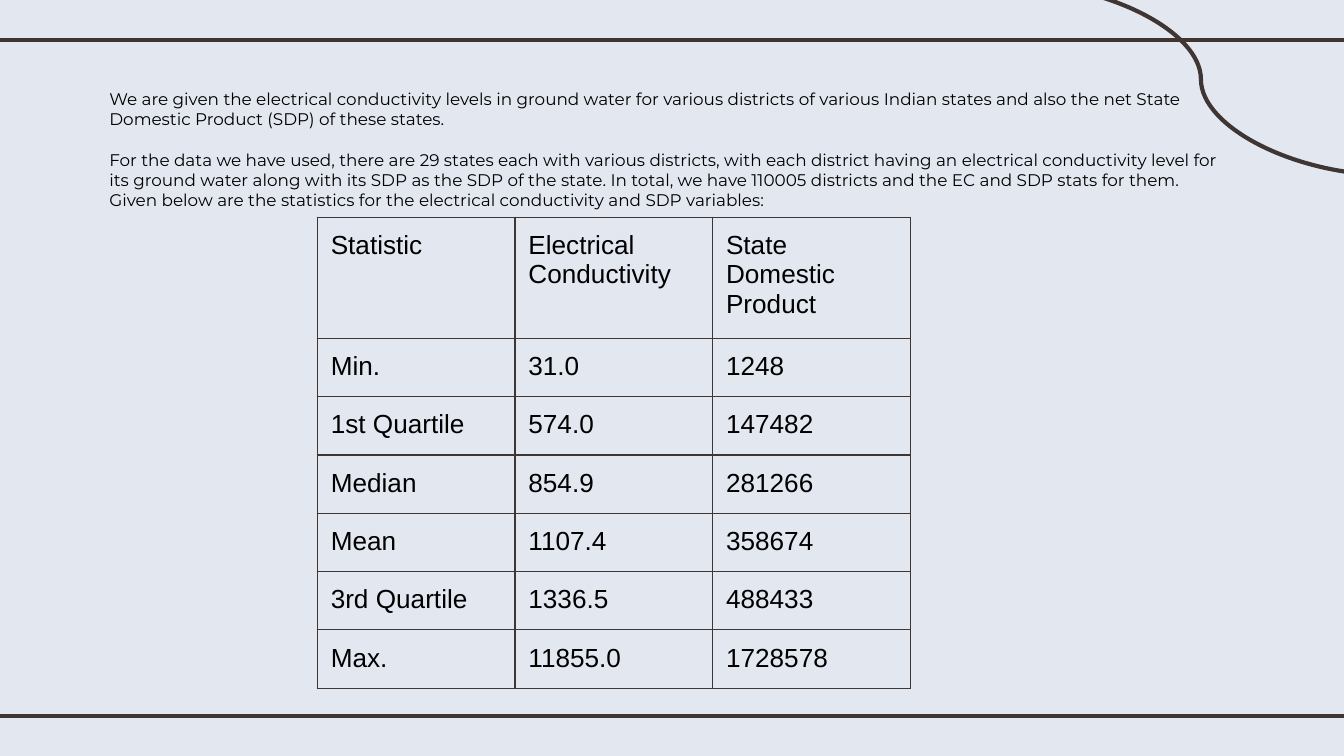
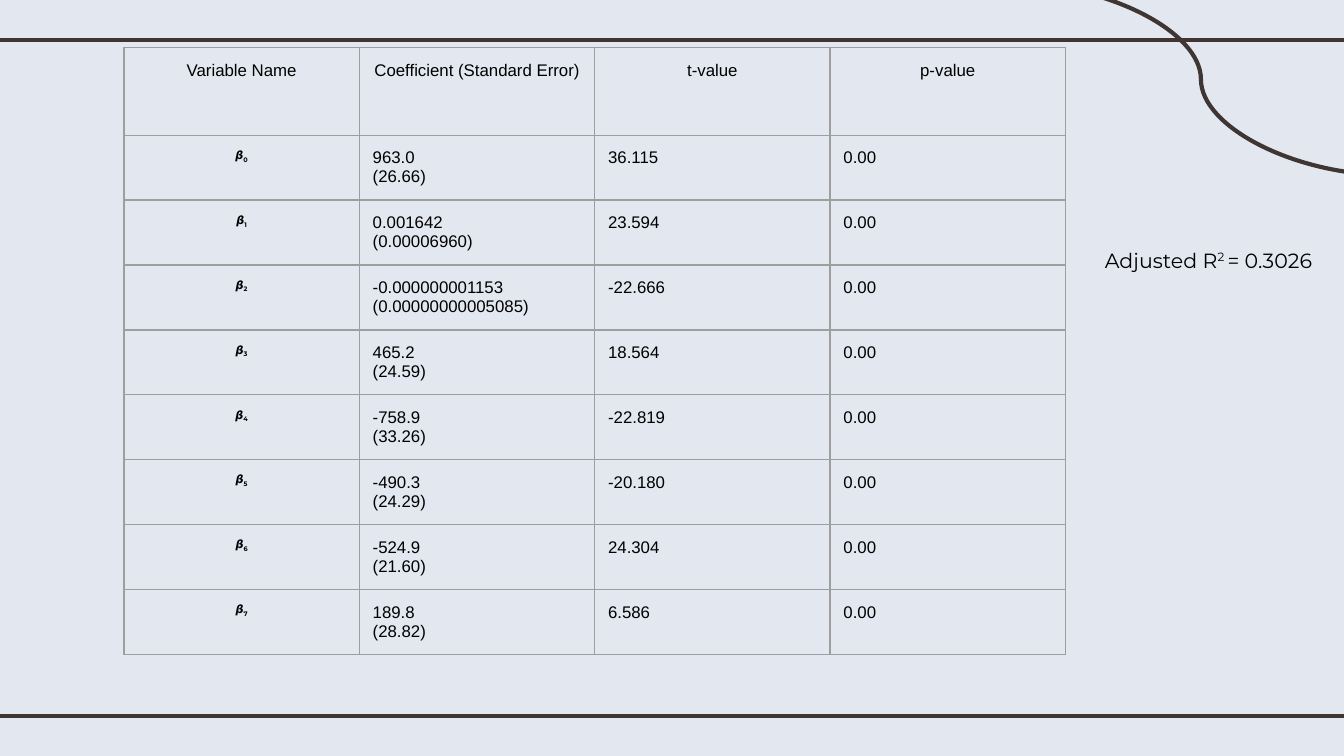
"""Builds two slides of ground water statistics and regression results."""
from lxml import etree
from pptx import Presentation
from pptx.dml.color import RGBColor
from pptx.enum.shapes import MSO_CONNECTOR
from pptx.enum.text import PP_ALIGN
from pptx.oxml.ns import qn
from pptx.util import Pt

STRAIGHT, CURVE = MSO_CONNECTOR.STRAIGHT, MSO_CONNECTOR.CURVE
LEFT, CENTER = PP_ALIGN.LEFT, PP_ALIGN.CENTER
BLANK_LAYOUT = 6
COLORS = {"background": "E3E7F0", "line": "3F3533", "grid": "9E9E9E", "text": "000000"}
BODY_FONT, TABLE_FONT = "Montserrat", "Arial"
INSET = 7.2
FRAME_LINES = [
    (STRAIGHT, -6, 21.6, 726, 21.6),
    (STRAIGHT, -6, 383.8, 726, 383.8),
    (CURVE, 542.2, -8.8, 744.5, 93.8),
]

INTRODUCTION = [
    "We are given the electrical conductivity levels in ground water for various districts of "
    "various Indian states and also the net State Domestic Product (SDP) of these states.",
    "For the data we have used, there are 29 states each with various districts, with each "
    "district having an electrical conductivity level for its ground water along with its SDP "
    "as the SDP of the state. In total, we have 110005 districts and the EC and SDP stats for them.",
    "Given below are the statistics for the electrical conductivity and SDP variables:",
]
STATISTICS = [
    ("Statistic", "Electrical Conductivity", "State Domestic Product"),
    ("Min.", "31.0", "1248"),
    ("1st Quartile", "574.0", "147482"),
    ("Median", "854.9", "281266"),
    ("Mean", "1107.4", "358674"),
    ("3rd Quartile", "1336.5", "488433"),
    ("Max.", "11855.0", "1728578"),
]
REGRESSION_HEADER = ("Variable Name", "Coefficient (Standard Error)", "t-value", "p-value")
COEFFICIENTS = [
    ("963.0", "26.66", "36.115"),
    ("0.001642", "0.00006960", "23.594"),
    ("-0.000000001153", "0.00000000005085", "-22.666"),
    ("465.2", "24.59", "18.564"),
    ("-758.9", "33.26", "-22.819"),
    ("-490.3", "24.29", "-20.180"),
    ("-524.9", "21.60", "24.304"),
    ("189.8", "28.82", "6.586"),
]
P_VALUE = "0.00"


def color(name):
    """Return a named colour as RGB."""
    return RGBColor.from_string(COLORS[name])


def format_span(span, font, size, bold=False, baseline=0):
    """Set the font of one run, with its baseline shift in percent."""
    span.font.name, span.font.size, span.font.bold = font, Pt(size), bold
    span.font.color.rgb = color("text")
    if baseline:
        span._r.get_or_add_rPr().set("baseline", str(baseline * 1000))


def format_frame(frame, font, size, align=LEFT):
    """Format every paragraph and run of a text frame."""
    for para in frame.paragraphs:
        para.alignment = align
        for span in para.runs:
            format_span(span, font, size)


def add_span(para, text, font, size, **style):
    """Append a formatted run to a paragraph."""
    span = para.add_run()
    span.text = text
    format_span(span, font, size, **style)


def add_frame_lines(page):
    """Draw the two rules and the corner curve."""
    for kind, *ends in FRAME_LINES:
        line = page.shapes.add_connector(kind, *[Pt(end) for end in ends])
        line.line.color.rgb = color("line")
        line.line.width = Pt(2.25)
        etree.SubElement(line._element.spPr, qn("a:effectLst"))


def add_page(deck):
    """Add a slide with the shared frame lines."""
    page = deck.slides.add_slide(deck.slide_layouts[BLANK_LAYOUT])
    add_frame_lines(page)
    return page


def add_text_box(page, left, top, width, height):
    """Add a wrapping text box and return its text frame."""
    frame = page.shapes.add_textbox(Pt(left), Pt(top), Pt(width), Pt(height)).text_frame
    frame.word_wrap = True
    set_margins(frame)
    return frame


def set_margins(holder):
    """Give a text frame or cell the shared inset."""
    holder.margin_left = holder.margin_right = Pt(INSET)
    holder.margin_top = holder.margin_bottom = Pt(INSET)


def set_borders(cell, border):
    """Draw a thin line on all four sides of a cell."""
    properties = cell._tc.get_or_add_tcPr()
    for index, side in enumerate(("lnL", "lnR", "lnT", "lnB")):
        edge = etree.Element(qn(f"a:{side}"), w=str(Pt(0.75)))
        fill = etree.SubElement(edge, qn("a:solidFill"))
        etree.SubElement(fill, qn("a:srgbClr"), val=COLORS[border])
        properties.insert(index, edge)


def add_grid(page, rows, left, top, column_width, heights, size, border, header_align=LEFT):
    """Add an unfilled, bordered table; heights are those of the header and other rows."""
    header_height, row_height = heights
    columns = len(rows[0])
    total_height = header_height + row_height * (len(rows) - 1)
    table = page.shapes.add_table(len(rows), columns, Pt(left), Pt(top),
                                  Pt(column_width * columns), Pt(total_height)).table
    table.first_row = table.horz_banding = False
    for column in table.columns:
        column.width = Pt(column_width)
    for index, values in enumerate(rows):
        table.rows[index].height = Pt(row_height if index else header_height)
        for cell, value in zip(table.rows[index].cells, values):
            cell.fill.background()
            set_margins(cell)
            set_borders(cell, border)
            cell.text_frame.text = value
            format_frame(cell.text_frame, TABLE_FONT, size, LEFT if index else header_align)
    return table


def add_coefficient_name(cell, index):
    """Write a beta with its subscript into a cell."""
    para = cell.text_frame.paragraphs[0]
    para.alignment = CENTER
    add_span(para, "𝞫", BODY_FONT, 6)
    add_span(para, str(index), BODY_FONT, 6, bold=True, baseline=-25)


def build_statistics(deck):
    """Build the slide with the data description and summary statistics."""
    page = add_page(deck)
    frame = add_text_box(page, 51.5, 40.3, 607.7, 273.6)
    frame.text = "\n".join(INTRODUCTION)
    format_frame(frame, BODY_FONT, 9)
    frame.paragraphs[1].space_before = Pt(11)
    add_grid(page, STATISTICS, 170, 116.4, 105.9, (64.8, 31.15), 14, "line")


def build_regression(deck):
    """Build the slide with the regression coefficients."""
    page = add_page(deck)
    rows = [REGRESSION_HEADER]
    rows += [("", f"{value}\n({error})", t_value, P_VALUE)
             for value, error, t_value in COEFFICIENTS]
    table = add_grid(page, rows, 66.4, 25.4, 126.1, (47, 34.8), 9, "grid", CENTER)
    for index in range(len(COEFFICIENTS)):
        add_coefficient_name(table.cell(index + 1, 0), index)
    para = add_text_box(page, 584.8, 126, 130, 28).paragraphs[0]
    add_span(para, "Adjusted R", BODY_FONT, 11)
    add_span(para, "2 ", BODY_FONT, 11, baseline=30)
    add_span(para, "= 0.3026", BODY_FONT, 11)


def main():
    """Build and save the deck."""
    deck = Presentation()
    deck.slide_width, deck.slide_height = Pt(720), Pt(405)
    background = deck.slide_master.background.fill
    background.solid()
    background.fore_color.rgb = color("background")
    build_statistics(deck)
    build_regression(deck)
    deck.save("out.pptx")


if __name__ == "__main__":
    main()
